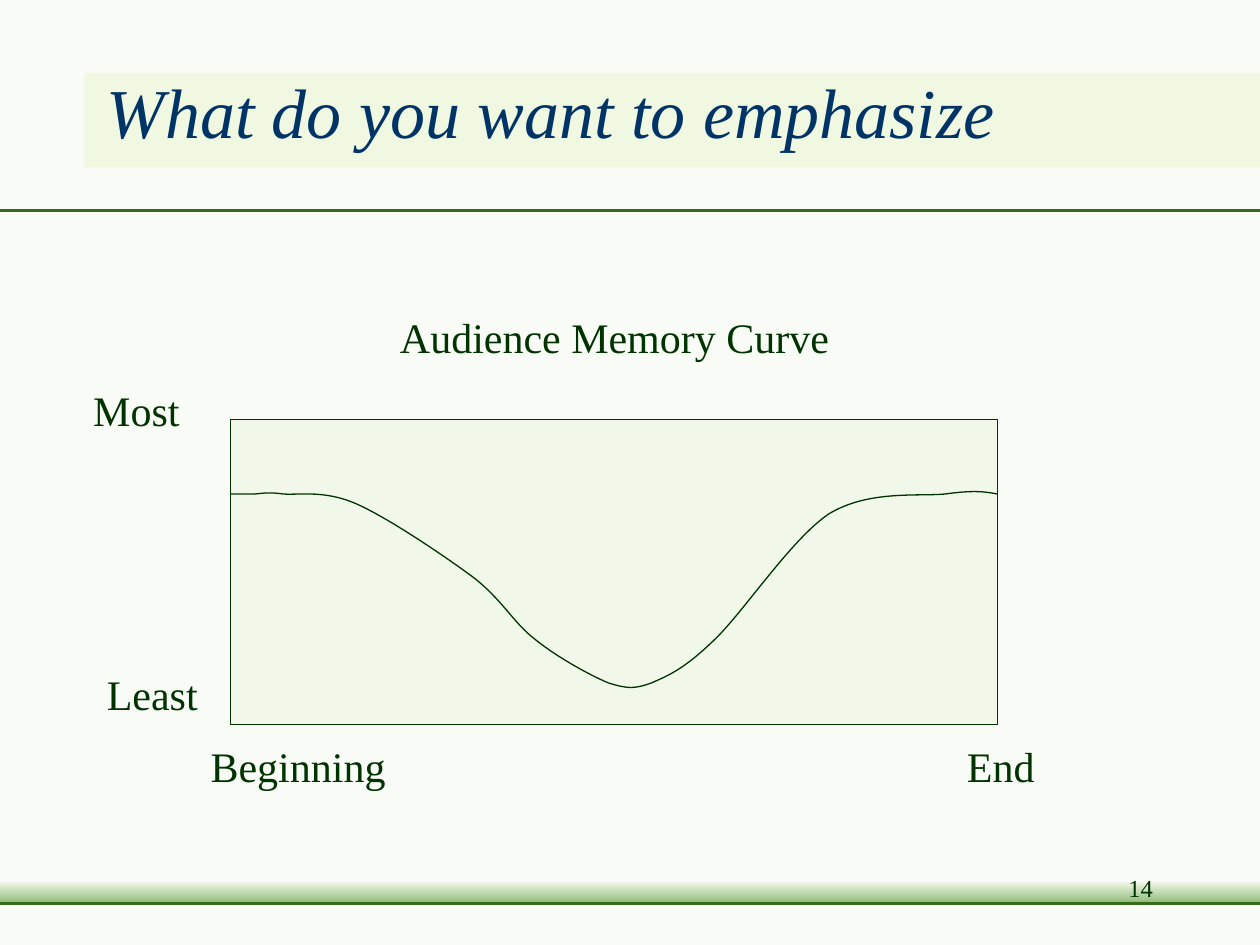
from dataclasses import dataclass

from lxml.etree import SubElement
from pptx import Presentation
from pptx.dml.color import RGBColor
from pptx.enum.shapes import MSO_CONNECTOR, MSO_SHAPE
from pptx.enum.text import MSO_ANCHOR, MSO_AUTO_SIZE, PP_ALIGN
from pptx.oxml.ns import qn
from pptx.util import Cm, Pt

FONT = "Times New Roman"
INK, RULE, PALE = "003300", "366B1B", "F1F7E9"
WIDE, HIGH = 25.4, 19.05


@dataclass
class Box:
    left: float
    top: float
    width: float
    height: float

    def place(self) -> tuple:
        return Cm(self.left), Cm(self.top), Cm(self.width), Cm(self.height)


@dataclass
class Label:
    text: str
    box: Box
    size: int = 24
    align: PP_ALIGN = PP_ALIGN.CENTER
    anchor: MSO_ANCHOR = MSO_ANCHOR.MIDDLE
    wrap: bool = False


LABELS = [
    Label("Audience Memory Curve", Box(7.72, 6.15, 9.34, 1.27)),
    Label("Most", Box(1.53, 7.62, 2.44, 1.27)),
    Label("Least", Box(1.8, 13.34, 2.54, 1.27)),
    Label("Beginning", Box(3.89, 14.81, 4.24, 1.27)),
    Label("End", Box(19.15, 14.81, 2.05, 1.27)),
    Label("14", Box(18.21, 17.48, 5.28, 1.27), 14,
          PP_ALIGN.RIGHT, MSO_ANCHOR.TOP, True),
]

# Start point, then two handles and an end point per curve piece
CURVE = [
    (4.65, 9.96),
    (4.78, 9.96), (4.9, 9.96), (5.08, 9.96),
    (5.26, 9.96), (5.36, 9.91), (5.72, 9.96),
    (6.07, 9.98), (6.55, 9.88), (7.19, 10.16),
    (7.82, 10.44), (8.92, 11.18), (9.53, 11.63),
    (10.13, 12.09), (10.34, 12.55), (10.8, 12.9),
    (11.25, 13.26), (11.89, 13.61), (12.27, 13.77),
    (12.67, 13.89), (12.78, 13.89), (13.13, 13.77),
    (13.49, 13.61), (13.79, 13.49), (14.4, 12.9),
    (14.99, 12.34), (15.95, 10.87), (16.71, 10.36),
    (17.5, 9.88), (18.49, 10.01), (19.05, 9.96),
    (19.61, 9.88), (19.86, 9.91), (20.11, 9.96),
]


def tint(code: str) -> RGBColor:
    return RGBColor.from_string(code)


def stroke(shape, code: str, width: float) -> None:
    shape.line.color.rgb = tint(code)
    shape.line.width = Pt(width)


def add_rule(slide, top: float) -> None:
    rule = slide.shapes.add_connector(
        MSO_CONNECTOR.STRAIGHT, 0, Cm(top), Cm(WIDE), Cm(top))
    stroke(rule, RULE, 1.5)
    SubElement(rule.element.spPr, qn("a:effectLst"))


def add_rect(slide, box: Box, code: str):
    rect = slide.shapes.add_shape(MSO_SHAPE.RECTANGLE, *box.place())
    rect.shadow.inherit = False
    rect.fill.solid()
    rect.fill.fore_color.rgb = tint(code)
    rect.line.fill.background()
    return rect


def add_curve(slide, points: list) -> None:
    start, *rest = [(Cm(x), Cm(y)) for x, y in points]
    pen = slide.shapes.build_freeform(*start)
    pen.add_line_segments(rest, close=False)
    curve = pen.convert_to_shape()
    curve.shadow.inherit = False
    curve.fill.background()
    stroke(curve, INK, 0.75)
    # Join each three straight steps into one Bezier piece
    track = curve.element.find(".//" + qn("a:path"))
    steps = track.findall(qn("a:lnTo"))
    for first in range(0, len(steps), 3):
        bend = SubElement(track, qn("a:cubicBezTo"))
        for step in steps[first:first + 3]:
            bend.append(step[0])
            track.remove(step)


def style(para, size: int, code: str, align: PP_ALIGN) -> None:
    para.alignment = align
    for run in para.runs:
        run.font.name = FONT
        run.font.size = Pt(size)
        run.font.color.rgb = tint(code)


def add_label(slide, label: Label) -> None:
    frame = slide.shapes.add_textbox(*label.box.place()).text_frame
    frame.text = label.text
    frame.word_wrap = label.wrap
    if not label.wrap:
        frame.auto_size = MSO_AUTO_SIZE.SHAPE_TO_FIT_TEXT
    frame.vertical_anchor = label.anchor
    style(frame.paragraphs[0], label.size, INK, label.align)


def set_title(slide, text: str, box: Box) -> None:
    title = slide.shapes.title
    title.left, title.top, title.width, title.height = box.place()
    frame = title.text_frame
    frame.text = text
    frame.word_wrap = True
    frame.auto_size = MSO_AUTO_SIZE.NONE
    frame.vertical_anchor = MSO_ANCHOR.MIDDLE
    style(frame.paragraphs[0], 40, "003366", PP_ALIGN.LEFT)
    frame.paragraphs[0].runs[0].font.italic = True


def main() -> None:
    deck = Presentation()
    deck.slide_width, deck.slide_height = Cm(WIDE), Cm(HIGH)
    slide = deck.slides.add_slide(deck.slide_layouts[5])
    slide.background.fill.solid()
    slide.background.fill.fore_color.rgb = tint("F9FCF6")

    # Rules and the shaded foot band
    add_rule(slide, 4.24)
    foot = add_rect(slide, Box(0, 17.78, WIDE, 0.43), PALE)
    foot.fill.gradient()
    foot.fill.gradient_angle = 270
    for stop, code, pos in zip(foot.fill.gradient_stops,
                               (PALE, "8DBA76"), (0, 1)):
        stop.color.rgb = tint(code)
        stop.position = pos
    add_rule(slide, 18.21)

    # Half-clear band and title; the title is raised above the band
    band = add_rect(slide, Box(1.7, 1.47, 23.7, 1.91), "E9F5CF")
    shade = band.element.spPr.find(".//" + qn("a:srgbClr"))
    SubElement(shade, qn("a:alpha")).set("val", "50000")
    set_title(slide, "What do you want to emphasize",
              Box(1.9, 0.64, 21.59, 3.18))
    band.element.addnext(slide.shapes.title.element)

    # Memory curve in its frame
    plot = add_rect(slide, Box(4.65, 8.46, 15.46, 6.15), PALE)
    stroke(plot, INK, 0.75)
    add_curve(slide, CURVE)

    # Labels and page number
    for label in LABELS:
        add_label(slide, label)

    deck.save("out.pptx")


if __name__ == "__main__":
    main()
